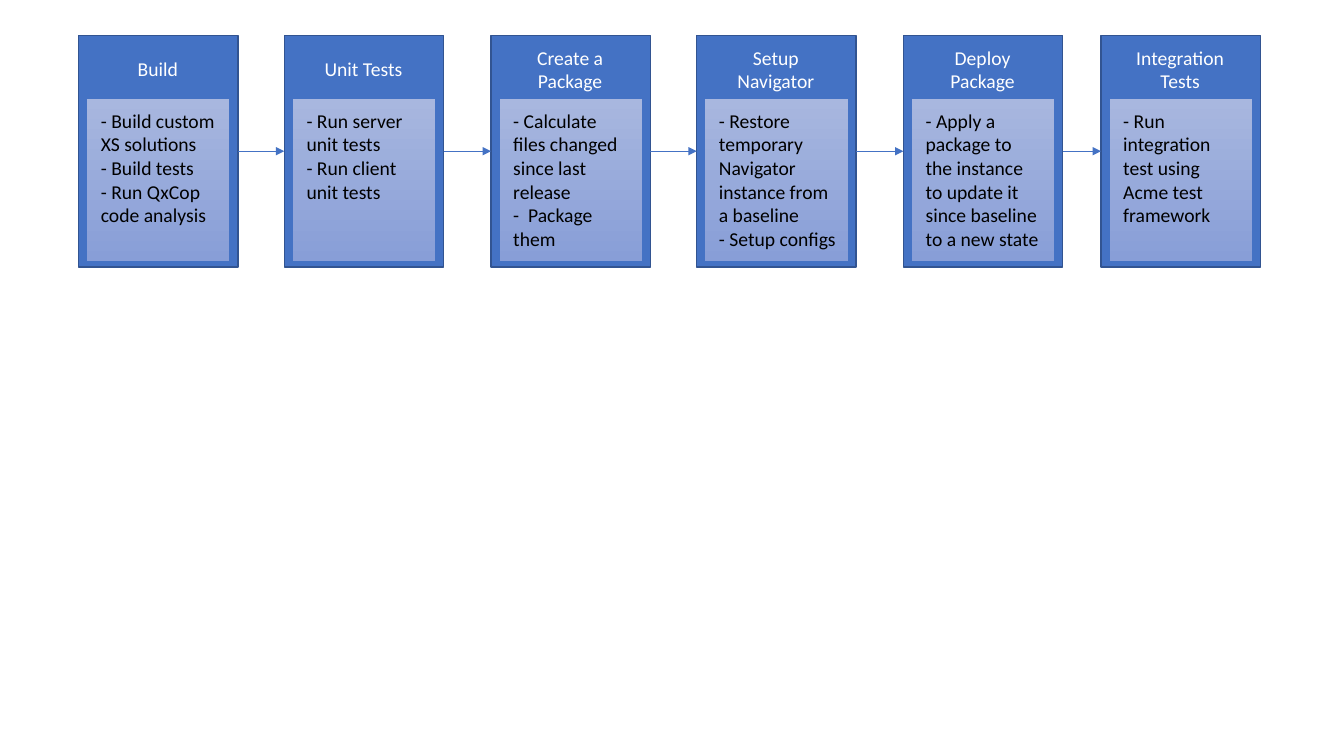
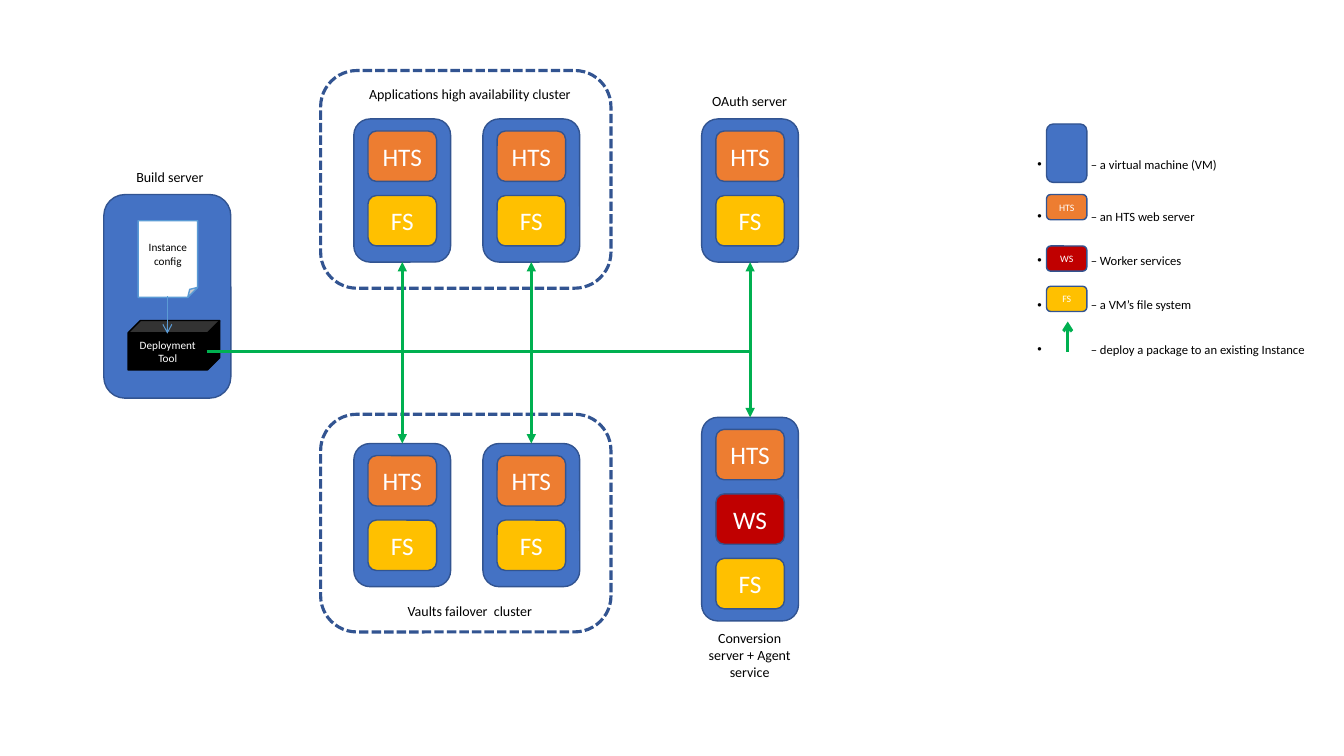
"""Build two slides: a delivery pipeline and the deployment layout of its servers."""
from pptx import Presentation
from pptx.dml.color import RGBColor
from pptx.enum.dml import MSO_LINE
from pptx.enum.shapes import MSO_CONNECTOR, MSO_SHAPE
from pptx.enum.text import MSO_ANCHOR, PP_ALIGN
from pptx.oxml.ns import qn
from pptx.util import Inches, Pt
from lxml import etree

BLUE = RGBColor(0x44, 0x72, 0xC4)
NAVY = RGBColor(0x32, 0x54, 0x91)
SKY = RGBColor(0x5B, 0x9B, 0xD5)
PALE = RGBColor(0xA8, 0xB7, 0xDF)
LAVENDER = RGBColor(0x88, 0x9E, 0xD7)
ORANGE = RGBColor(0xED, 0x7D, 0x31)
GOLD = RGBColor(0xFF, 0xC0, 0x00)
RED = RGBColor(0xC0, 0x00, 0x00)
GREEN = RGBColor(0x00, 0xB0, 0x50)
BLACK = RGBColor(0, 0, 0)
WHITE = RGBColor(0xFF, 0xFF, 0xFF)

RECT = MSO_SHAPE.RECTANGLE
ROUNDED = MSO_SHAPE.ROUNDED_RECTANGLE
CUBE = MSO_SHAPE.CUBE
NOTE = MSO_SHAPE.FOLDED_CORNER
STRAIGHT = MSO_CONNECTOR.STRAIGHT
DASHED = MSO_LINE.SQUARE_DOT
LEFT, CENTER = PP_ALIGN.LEFT, PP_ALIGN.CENTER
TOP, MIDDLE = MSO_ANCHOR.TOP, MSO_ANCHOR.MIDDLE

FONT = "Calibri"
SERVICE_COLORS = {"HTS": ORANGE, "WS": RED, "FS": GOLD}

CARD_TOP, CARD_WIDTH, CARD_HEIGHT = 0.35, 1.58, 2.3
STAGES = [
    (0.78, "Build", "- Build custom XS solutions\n- Build tests\n- Run QxCop code analysis", 0.15),
    (2.82, "Unit Tests", "- Run server unit tests\n- Run client unit tests", 0.15),
    (4.87, "Create a Package",
     "- Calculate files changed since last release\n-  Package them", 0.15),
    (6.91, "Setup Navigator",
     "- Restore temporary Navigator instance from a baseline\n- Setup configs", 0.09),
    (8.96, "Deploy Package",
     "- Apply a package to the instance to update it since baseline to a new state", 0.15),
    (10.92, "Integration Tests", "- Run integration test using Acme test framework", 0.15),
]

VM_WIDTH, VM_HEIGHT, TALL_VM_HEIGHT = 0.96, 1.42, 2.02
APP_TOP, VAULT_TOP, AGENT_TOP = 1.18, 4.4, 4.14
TRUNK_Y = 3.49
CLUSTER_COLUMNS = (3.51, 4.79)
SINGLE_COLUMN = 6.96

LEGEND = [
    ("– a virtual machine (VM)", 2.5),
    ("– an HTS web server", 2.5),
    ("– Worker services", 2),
    ("– a VM’s file system", 2),
    ("– deploy a package to an existing Instance", 2),
]


class Deck:
    """Holds the presentation, its style and the current slide."""

    def __init__(self):
        self.prs = Presentation()
        self.prs.slide_width = Inches(13.33)
        self.prs.slide_height = Inches(7.5)
        self.slide = None

    def new_slide(self):
        self.slide = self.prs.slides.add_slide(self.prs.slide_layouts[6])

    def set_text(self, frame, text, size, color, align=CENTER, anchor=MIDDLE):
        frame.word_wrap = True
        frame.vertical_anchor = anchor
        frame.text = text
        for paragraph in frame.paragraphs:
            paragraph.alignment = align
            for run in paragraph.runs:
                run.font.name = FONT
                run.font.size = Pt(size)
                run.font.color.rgb = color

    def box(self, kind, left, top, width, height, fill=None, line=NAVY, weight=1,
            text="", size=18, color=WHITE):
        shape = self.slide.shapes.add_shape(
            kind, Inches(left), Inches(top), Inches(width), Inches(height))
        shape.shadow.inherit = False
        if fill is None:
            shape.fill.background()
        else:
            shape.fill.solid()
            shape.fill.fore_color.rgb = fill
        shape.line.color.rgb = line
        shape.line.width = Pt(weight)
        if text:
            frame = shape.text_frame
            frame.margin_left = frame.margin_right = Inches(0.05)
            self.set_text(frame, text, size, color)
        return shape

    def label(self, left, top, width, height, text, size=10, color=BLACK,
              align=CENTER, anchor=TOP):
        frame = self.slide.shapes.add_textbox(
            Inches(left), Inches(top), Inches(width), Inches(height)).text_frame
        self.set_text(frame, text, size, color, align, anchor)
        return frame

    def arrow(self, start, end, color, weight, head=None, tail="triangle"):
        connector = self.slide.shapes.add_connector(
            STRAIGHT, *(Inches(value) for value in (*start, *end)))
        connector.line.color.rgb = color
        connector.line.width = Pt(weight)
        properties = connector.element.spPr
        outline = properties.find(qn("a:ln"))
        for tag, style in (("a:headEnd", head), ("a:tailEnd", tail)):
            if style:
                etree.SubElement(outline, qn(tag), type=style)
        etree.SubElement(properties, qn("a:effectLst"))

    def stage(self, left, title, details, right_margin):
        self.box(RECT, left, CARD_TOP, CARD_WIDTH, CARD_HEIGHT, BLUE)
        self.label(left + 0.18, 0.4, 1.21, 0.57, title, 14, WHITE, anchor=MIDDLE)
        panel = self.box(RECT, left + 0.08, 0.98, 1.42, 1.61, PALE, BLUE, 0.5)
        panel.fill.gradient()
        panel.fill.gradient_angle = 270
        for stop, color in zip(panel.fill.gradient_stops, (PALE, LAVENDER)):
            stop.color.rgb = color
        frame = panel.text_frame
        frame.margin_left = Inches(0.14)
        frame.margin_right = Inches(right_margin)
        frame.margin_top = Inches(0.1)
        self.set_text(frame, details, 14, BLACK, LEFT, TOP)

    def service(self, left, top, name, width=0.68, height=0.5, size=18):
        self.box(ROUNDED, left, top, width, height, SERVICE_COLORS[name],
                 text=name, size=size)

    def machine(self, left, top, services=("HTS", "FS"), height=VM_HEIGHT):
        self.box(ROUNDED, left, top, VM_WIDTH, height, BLUE)
        for row, name in enumerate(services):
            self.service(left + 0.14, top + 0.12 + 0.64 * row, name)

    def cluster(self, top, caption, caption_top, machine_top):
        self.box(ROUNDED, 3.18, top, 2.88, 2.16, weight=2.25).line.dash_style = DASHED
        self.label(3.51, caption_top, 2.3, 0.27, caption)
        for left in CLUSTER_COLUMNS:
            self.machine(left, machine_top)

    def legend(self):
        frame = self.label(10.19, 1.28, 2.95, 5.31,
                           "\n".join(text for text, _ in LEGEND), 9, align=LEFT)
        indent = Inches(0.53)
        for paragraph, (_, spacing) in zip(frame.paragraphs, LEGEND):
            paragraph.line_spacing = spacing
            paragraph.space_before = Pt(10)
            properties = paragraph._p.get_or_add_pPr()
            properties.set("marL", str(indent))
            properties.set("indent", str(-indent))
            etree.SubElement(properties, qn("a:buFont"), typeface="Arial")
            etree.SubElement(properties, qn("a:buChar"), char="•")
        self.box(ROUNDED, 10.38, 1.23, 0.4, 0.58, BLUE)
        for name, top in (("HTS", 1.93), ("WS", 2.44), ("FS", 2.84)):
            self.service(10.38, top, name, 0.4, 0.25, 7)
        self.arrow((10.59, 3.49), (10.59, 3.19), GREEN, 2.25, tail="arrow")


def build_pipeline(deck):
    deck.new_slide()
    for stage in STAGES:
        deck.stage(*stage)
    for current, following in zip(STAGES, STAGES[1:]):
        deck.arrow((current[0] + CARD_WIDTH, 1.5), (following[0], 1.5), BLUE, 0.5)


def build_deployment(deck):
    deck.new_slide()
    deck.box(ROUNDED, 1.03, 1.93, 1.26, 2.02, BLUE)
    deck.box(CUBE, 1.27, 3.18, 0.91, 0.49, BLACK, BLACK, text="Deployment Tool", size=8)
    deck.box(NOTE, 1.37, 2.19, 0.59, 0.76, WHITE, SKY,
             text="Instance\nconfig", size=8, color=BLACK)
    deck.arrow((1.66, 2.94), (1.66, 3.31), SKY, 0.75, tail="arrow")
    deck.label(1.16, 1.62, 1.05, 0.27, "Build server")

    deck.cluster(0.7, "Applications high availability cluster", 0.8, APP_TOP)
    deck.cluster(4.11, "Vaults failover  cluster", 5.93, VAULT_TOP)
    deck.machine(SINGLE_COLUMN, APP_TOP)
    deck.machine(SINGLE_COLUMN, AGENT_TOP, ("HTS", "WS", "FS"), TALL_VM_HEIGHT)
    deck.label(6.91, 0.87, 1.05, 0.27, "OAuth server")
    deck.label(6.91, 6.2, 1.05, 0.61, "Conversion server + Agent service")

    trunk_end = SINGLE_COLUMN + VM_WIDTH / 2
    deck.arrow((2.05, TRUNK_Y), (trunk_end, TRUNK_Y), GREEN, 2.25, tail=None)
    lower_tops = (VAULT_TOP, VAULT_TOP, AGENT_TOP)
    for left, lower_top in zip((*CLUSTER_COLUMNS, SINGLE_COLUMN), lower_tops):
        center = left + VM_WIDTH / 2
        deck.arrow((center, APP_TOP + VM_HEIGHT), (center, lower_top), GREEN, 2.25,
                   head="triangle")
    deck.legend()


def main():
    deck = Deck()
    build_pipeline(deck)
    build_deployment(deck)
    deck.prs.save("out.pptx")


if __name__ == "__main__":
    main()
